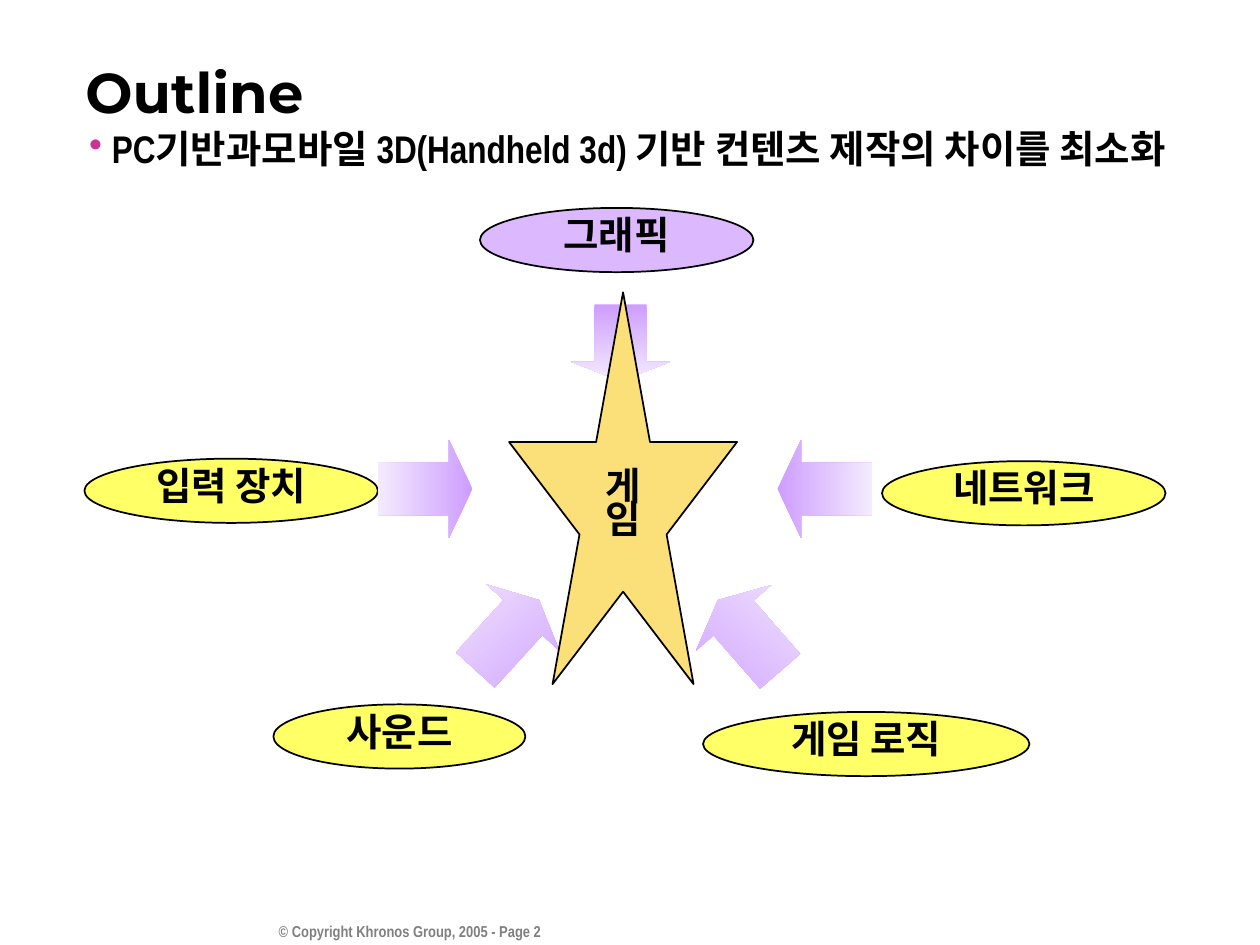
import pptx
import pptx.dml.color
import pptx.enum.shapes
import pptx.enum.text
import pptx.oxml
import pptx.oxml.ns
import pptx.util

SHAPES = pptx.enum.shapes.MSO_SHAPE
ALIGN = pptx.enum.text.PP_ALIGN
ANCHOR = pptx.enum.text.MSO_ANCHOR
COLUMNS, ROWS = 100, 75
KOREAN = "Noto Sans CJK KR"
LABEL = {"size": 22, "name": KOREAN}
LABEL_PARA = {"alignment": ALIGN.CENTER, "line_spacing": 0.7}


def color(value):
    """Return the RGB colour for a hex string."""
    return pptx.dml.color.RGBColor.from_string(value)


def assign(target, values):
    """Set every attribute named in a dict of format values."""
    for name, value in values.items():
        setattr(target, name, value)


class Board:
    """Hold the style and the current page, and draw each kind of element."""

    def __init__(self, deck):
        """Add a blank page to the deck and measure its grid."""
        self.page = deck.slides.add_slide(deck.slide_layouts[6])
        self.column = deck.slide_width / COLUMNS
        self.row = deck.slide_height / ROWS

    def place(self, left, top, width, height):
        """Turn grid columns and rows into slide lengths."""
        return (round(left * self.column), round(top * self.row),
                round(width * self.column), round(height * self.row))

    def fill_text(self, box, text, font, para_format, frame_format, ink="000000", bullet=None):
        """Put one bold paragraph into a box."""
        frame = box.text_frame
        assign(frame, {"word_wrap": True, **frame_format})
        para = frame.paragraphs[0]
        assign(para, para_format)
        if bullet:
            self.bullet(para, bullet)
        span = para.add_run()
        span.text = text
        assign(span.font, {"bold": True, "name": font["name"],
                           "size": pptx.util.Pt(font["size"])})
        span.font.color.rgb = color(ink)
        east_asian = pptx.oxml.parse_xml(
            f'<a:ea {pptx.oxml.ns.nsdecls("a")} typeface="{KOREAN}"/>')
        span.font._element.find(pptx.oxml.ns.qn("a:latin")).addnext(east_asian)

    def bullet(self, para, ink):
        """Give a paragraph a hanging coloured bullet."""
        properties = para._p.get_or_add_pPr()
        indent = pptx.util.Inches(0.18)
        properties.set("marL", str(indent))
        properties.set("indent", str(-indent))
        names = pptx.oxml.ns.nsdecls("a")
        for element in (f'<a:buClr {names}><a:srgbClr val="{ink}"/></a:buClr>',
                        f'<a:buChar {names} char="•"/>'):
            properties.append(pptx.oxml.parse_xml(element))

    def text(self, area, text, font, para_format=None, frame_format=None, **colors):
        """Add a text box."""
        box = self.page.shapes.add_textbox(*self.place(*area))
        self.fill_text(box, text, font, para_format or {}, frame_format or {}, **colors)

    def label(self, kind, area, text, fill, font=LABEL, **frame_format):
        """Add an outlined shape with a centred label."""
        box = self.page.shapes.add_shape(kind, *self.place(*area))
        box.shadow.inherit = False
        box.fill.solid()
        box.fill.fore_color.rgb = color(fill)
        box.line.color.rgb = color("000000")
        box.line.width = pptx.util.Pt(1)
        self.fill_text(box, text, font, LABEL_PARA,
                       {"vertical_anchor": ANCHOR.MIDDLE, **frame_format})

    def arrow(self, area, rotation, shade):
        """Add a block arrow with a gradient that stays fixed to the page."""
        box = self.page.shapes.add_shape(SHAPES.RIGHT_ARROW, *self.place(*area))
        box.shadow.inherit = False
        box.rotation = rotation
        box.adjustments[0], box.adjustments[1] = 0.532, 0.25
        box.line.fill.background()
        box.fill.gradient()
        box.fill.gradient_angle = -shade % 360
        for stop, (position, tint) in zip(box.fill.gradient_stops,
                                          ((0, "CE9DFF"), (1, "F4EBFE"))):
            stop.position = position
            stop.color.rgb = color(tint)
        gradient = box._element.spPr.find(pptx.oxml.ns.qn("a:gradFill"))
        gradient.set("rotWithShape", "0")


def main():
    """Build the outline page and save the deck."""
    deck = pptx.Presentation()
    deck.slide_width, deck.slide_height = pptx.util.Inches(10), pptx.util.Inches(7.5)
    board = Board(deck)

    board.text((20, 72.7, 23.9, 3.3), "© Copyright Khronos Group, 2005 - Page 2",
               {"size": 9, "name": "Arial Narrow"}, {"alignment": ALIGN.RIGHT}, ink="808080")
    board.text((5.8, 5.1, 93.7, 4.2), "Outline", {"size": 32, "name": "Montserrat"},
               frame_format={"vertical_anchor": ANCHOR.MIDDLE})
    board.text((6.1, 9.7, 93.9, 6.1),
               "PC기반과모바일 3D(Handheld 3d) 기반 컨텐츠 제작의 차이를 최소화",
               {"size": 22, "name": "Arial Narrow"}, {"line_spacing": 0.95}, bullet="CC3399")

    for left, top, width, text, fill in (
            (6.7, 36.4, 23.3, "입력 장치", "FFFF66"),
            (21.7, 55.9, 20, "사운드", "FFFF66"),
            (70, 36.6, 22.5, "네트워크", "FFFF66"),
            (55.8, 56.5, 25.9, "게임 로직", "FFFF66"),
            (38.1, 16.5, 21.7, "그래픽", "DCB9FF")):
        board.label(SHAPES.OVAL, (left, top, width, 5.1), text, fill)

    for left, top, width, rotation, shade in (
            (46.2, 23.3, 6.1, 90, 90),
            (61.7, 34.9, 7.5, 180, 0),
            (36.5, 46.5, 7.5, 312.3, 228),
            (30, 34.9, 7.5, 0, 180)):
        board.arrow((left, top, width, 7.8), rotation, shade)
    board.label(SHAPES.STAR_5_POINT, (40.4, 23.2, 18.1, 31.1), "게임", "FBDF79",
                {"size": 22, "name": "Arial Narrow"}, margin_bottom=pptx.util.Inches(0.2))
    board.arrow((55.7, 46.5, 7.5, 7.9), 228.9, 311)

    deck.save("out.pptx")


if __name__ == "__main__":
    main()
